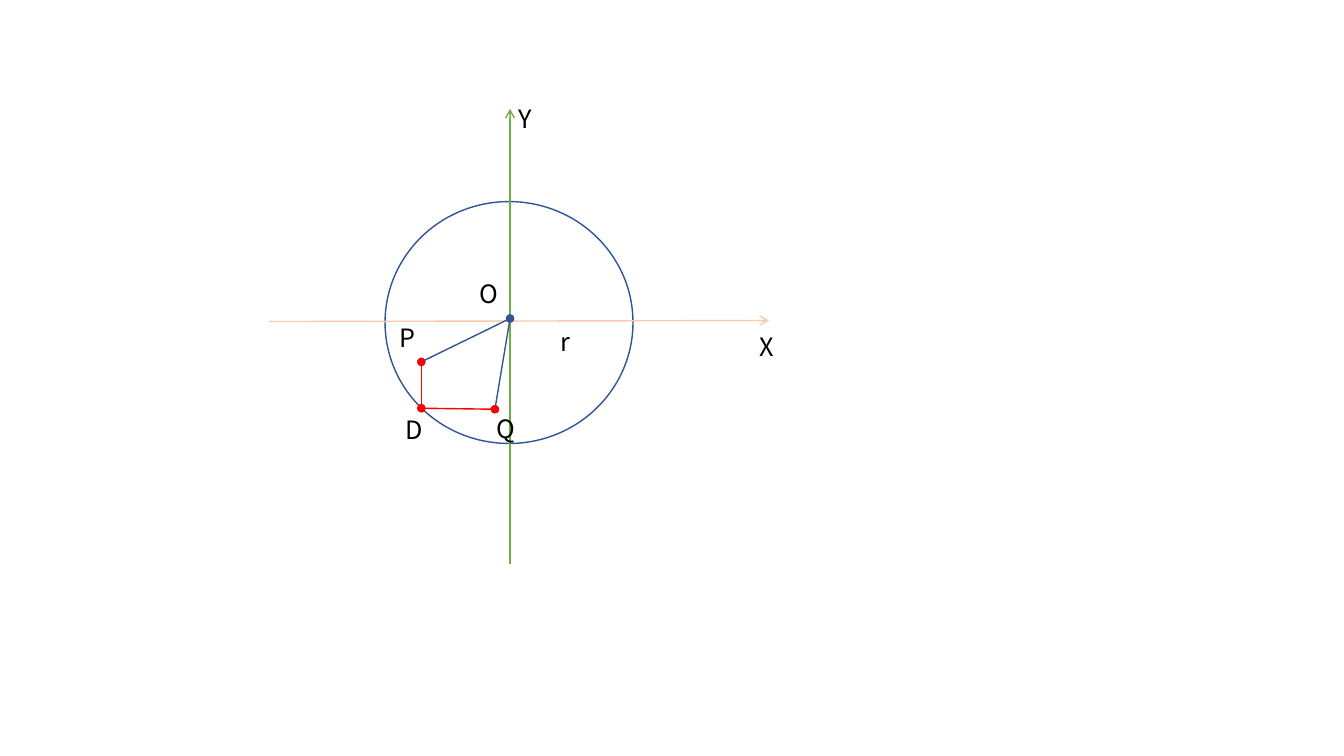
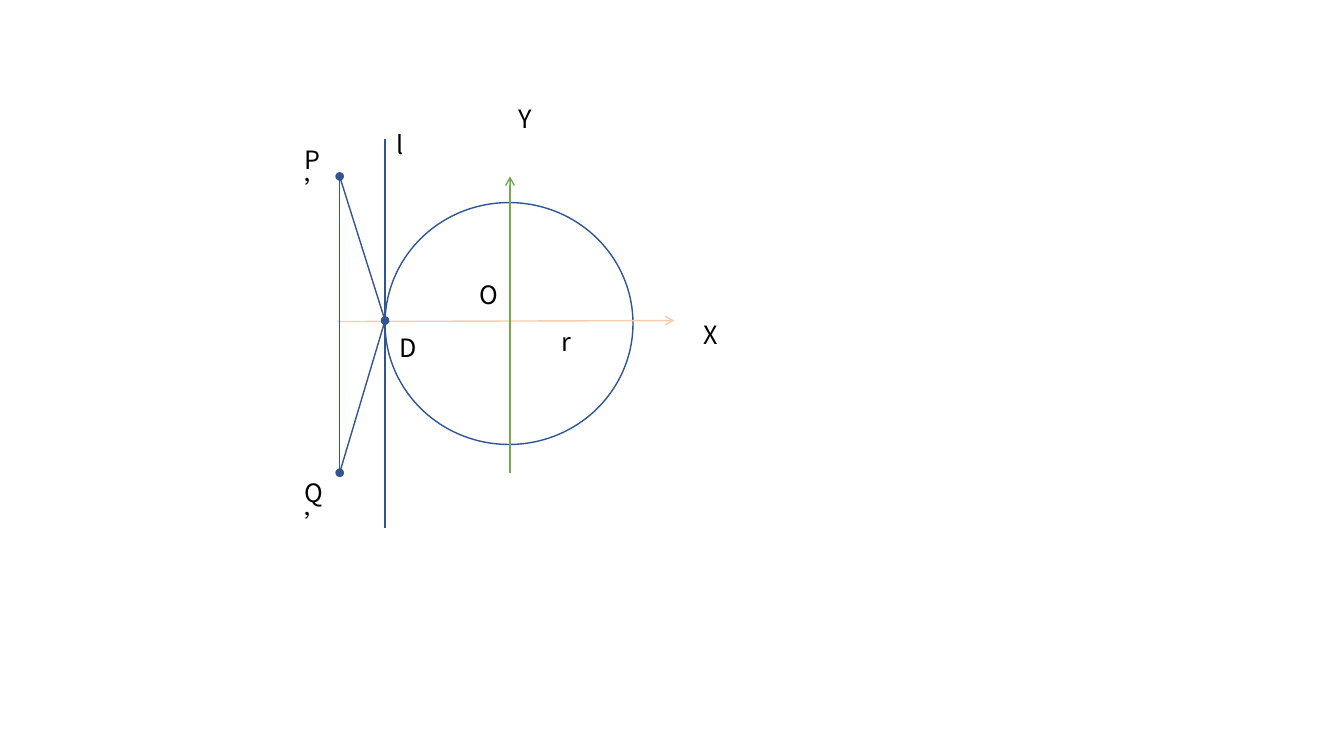
from pptx import Presentation
from pptx.dml.color import RGBColor
from pptx.enum.shapes import MSO_CONNECTOR, MSO_SHAPE
from pptx.enum.text import MSO_AUTO_SIZE
from pptx.oxml.ns import qn
from pptx.util import Inches, Pt
from lxml.etree import SubElement

CELL = Inches(0.1)
COLUMNS, ROWS = 133.33, 75
FONT = "Noto Sans CJK SC"
BLACK, OUTLINE, BLUE, RED = "000000", "2F5597", "325491", "FF0000"
ORANGE, GREEN = "F8CBAD", "70AD47"
LABEL_HEIGHT = 4
CIRCLE_LEFT, CIRCLE_WIDTH, CIRCLE_HEIGHT = 38.2, 24.6, 24
AXIS_X, AXIS_START, AXIS_END = 50.6, 31.9, 31.8
TEXT_FORMAT = {"name": FONT, "size": Pt(18)}
FRAME_FORMAT = {"word_wrap": True, "auto_size": MSO_AUTO_SIZE.SHAPE_TO_FIT_TEXT}


def paint(target, color):
    target.fill.solid()
    target.fill.fore_color.rgb = RGBColor.from_string(color)


def cells(*lengths):
    return [round(length * CELL) for length in lengths]


center = (AXIS_X, 31.6)
point_p, point_d, point_q = (41.8, 35.9), (41.8, 40.5), (49.1, 40.6)
tangent_x, mirror_x = CIRCLE_LEFT, 33.7
tangent_point = (tangent_x, AXIS_END)
mirror_p, mirror_q = (mirror_x, 17.5), (mirror_x, 46.9)
AXIS_ENDS = {"tailEnd": "arrow"}
DOT_ENDS = {"headEnd": "oval", "tailEnd": "oval"}

diagrams = [
    {
        "circle_top": 20,
        "lines": [
            ((26.7, AXIS_START), (76.3, AXIS_END), ORANGE, AXIS_ENDS),
            ((AXIS_X, 56), (AXIS_X, 10.8), GREEN, AXIS_ENDS),
            (center, point_p, BLUE, DOT_ENDS),
            (point_d, point_p, RED, DOT_ENDS),
            (center, point_q, BLUE, DOT_ENDS),
            (point_d, point_q, RED, DOT_ENDS),
        ],
        "labels": [
            ("O", 46.6, 27.1, 2.6),
            ("Y", 50.5, 9.8, 2.6),
            ("X", 74.4, 32.4, 2.6),
            ("r", 54.6, 31.9, 2.6),
            ("D", 39.2, 40.6, 3.2),
            ("Q", 48.3, 40.5, 3.2),
            ("P", 38.6, 31.5, 3.2),
        ],
    },
    {
        "circle_top": 20.1,
        "lines": [
            ((33.5, AXIS_START), (66.9, AXIS_END), ORANGE, AXIS_ENDS),
            ((AXIS_X, 46.9), (AXIS_X, 17.5), GREEN, AXIS_ENDS),
            (mirror_p, mirror_q, BLUE, DOT_ENDS),
            (tangent_point, mirror_q, BLUE, DOT_ENDS),
            (tangent_point, mirror_p, BLUE, DOT_ENDS),
            ((tangent_x, 13.8), (tangent_x, 52.4), BLUE, {}),
        ],
        "labels": [
            ("O", 46.6, 27.2, 2.6),
            ("Y", 50.5, 9.8, 2.6),
            ("X", 68.8, 31.2, 2.6),
            ("r", 54.7, 31.9, 2.6),
            ("D", 38.6, 32.5, 3.2),
            ("P’", 29.2, 13.8, 3.2),
            ("Q’", 29.2, 46.9, 3.2),
            ("l", 38.4, 12.3, 20),
        ],
    },
]

presentation = Presentation()
presentation.slide_width, presentation.slide_height = cells(COLUMNS, ROWS)

for diagram in diagrams:
    slide = presentation.slides.add_slide(presentation.slide_layouts[6])
    circle = slide.shapes.add_shape(
        MSO_SHAPE.OVAL,
        *cells(CIRCLE_LEFT, diagram["circle_top"], CIRCLE_WIDTH, CIRCLE_HEIGHT),
    )
    circle.shadow.inherit = False
    circle.fill.background()
    paint(circle.line, OUTLINE)
    circle.line.width = Pt(1)

    for start, end, color, ends in diagram["lines"]:
        connector = slide.shapes.add_connector(
            MSO_CONNECTOR.STRAIGHT, *cells(*start, *end)
        )
        paint(connector.line, color)
        connector.line.width = Pt(1)
        properties = connector._element.spPr
        for tag, kind in ends.items():
            SubElement(properties.find(qn("a:ln")), qn(f"a:{tag}"), type=kind)
        SubElement(properties, qn("a:effectLst"))

    for text, left, top, width in diagram["labels"]:
        label = slide.shapes.add_textbox(*cells(left, top, width, LABEL_HEIGHT))
        for name, value in FRAME_FORMAT.items():
            setattr(label.text_frame, name, value)
        run = label.text_frame.paragraphs[0].add_run()
        run.text = text
        for name, value in TEXT_FORMAT.items():
            setattr(run.font, name, value)
        paint(run.font, BLACK)
        SubElement(run._r.get_or_add_rPr(), qn("a:ea"), typeface=FONT)

presentation.save("out.pptx")
